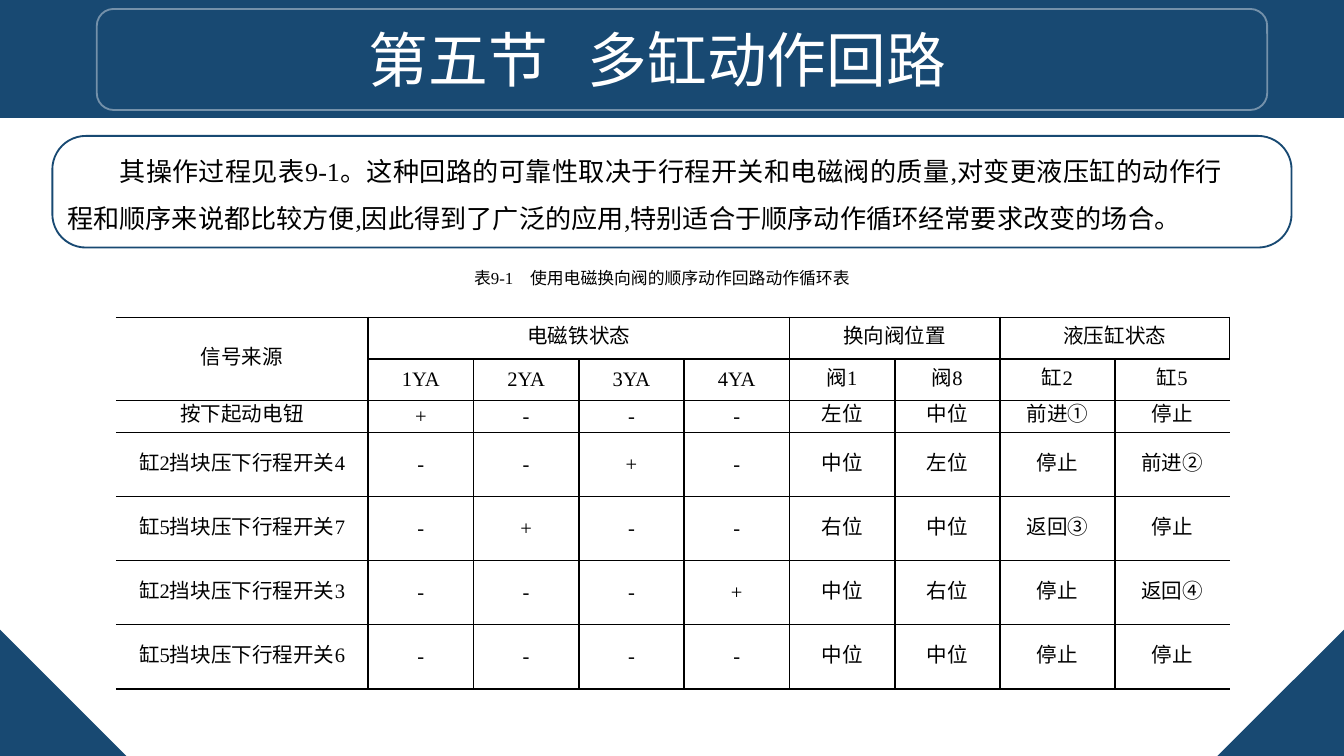
from lxml.etree import SubElement
from pptx import Presentation
from pptx.dml.color import RGBColor
from pptx.enum.shapes import MSO_SHAPE as Form
from pptx.enum.text import MSO_ANCHOR as Anchor, MSO_AUTO_SIZE as Auto, PP_ALIGN as Align
from pptx.oxml.ns import qn
from pptx.util import Cm, Pt

NAVY, WHITE, BLACK = "184972", "FFFFFF", "000000"
SANS, SERIF, ARIAL = "Noto Sans CJK SC", "Times New Roman", "Arial"
MARKS = "①②③④"

HEADS = [
    ["信号来源", "电磁铁状态", "", "", "", "换向阀位置", "", "液压缸状态", ""],
    ["", "1YA", "2YA", "3YA", "4YA", "阀1", "阀8", "缸2", "缸5"],
]
STEPS = [
    ("按下起动电钮", "+---", "左位", "中位", "前进①", "停止"),
    ("缸2挡块压下行程开关4", "--+-", "中位", "左位", "停止", "前进②"),
    ("缸5挡块压下行程开关7", "-+--", "右位", "中位", "返回③", "停止"),
    ("缸2挡块压下行程开关3", "---+", "中位", "右位", "停止", "返回④"),
    ("缸5挡块压下行程开关6", "----", "中位", "中位", "停止", "停止"),
]
SPANS = [(0, 0, 1, 0), (0, 1, 0, 4), (0, 5, 0, 6), (0, 7, 0, 8)]
WIDTHS = [4.77] + [1.99] * 6 + [2.17] * 2
HEIGHTS = [0.78] * 2 + [0.61] + [1.21] * 4


def tint(code):
    return RGBColor.from_string(code)


def box(x, y, w, h):
    return Cm(x), Cm(y), Cm(w), Cm(h)


class Deck:
    def __init__(self):
        self.file = Presentation()
        self.file.slide_width, self.file.slide_height = Cm(25.4), Cm(14.29)
        self.slide = self.file.slides.add_slide(self.file.slide_layouts[5])

    def shape(self, form, at, fill=None, line=None, alpha=None, bend=None, turn=0):
        item = self.slide.shapes.add_shape(form, *box(*at))
        item.shadow.inherit = False
        item.rotation = turn
        if bend is not None:
            item.adjustments[0] = bend
        if fill:
            item.fill.solid()
            item.fill.fore_color.rgb = tint(fill)
        else:
            item.fill.background()
        if line:
            item.line.color.rgb = tint(line)
            item.line.width = Pt(1)
        else:
            item.line.fill.background()
        if alpha:
            tone = item.line._ln.find(".//" + qn("a:srgbClr"))
            SubElement(tone, qn("a:alpha"), val=str(alpha * 1000))

    def run(self, para, text, size, font=SERIF, color=BLACK, gap=0):
        run = para.add_run()
        run.text = text
        run.font.size = Pt(size)
        run.font.name = font
        run.font.color.rgb = tint(color)
        props = run._r.get_or_add_rPr()
        SubElement(props, qn("a:ea"), typeface=SANS)
        if gap:
            props.set("spc", str(gap * 100))

    def title(self, at, parts):
        head = self.slide.shapes.title
        head.left, head.top, head.width, head.height = box(*at)
        frame = head.text_frame
        frame.auto_size = Auto.NONE
        frame.vertical_anchor = Anchor.MIDDLE
        para = frame.paragraphs[0]
        para.alignment = Align.CENTER
        for text, gap in parts:
            self.run(para, text, 32, SANS, WHITE, gap)
        self.slide.shapes._spTree.append(head._element)

    def text(self, at, text, size, align, space, indent):
        frame = self.slide.shapes.add_textbox(*box(*at)).text_frame
        frame.word_wrap = True
        para = frame.paragraphs[0]
        para.alignment = align
        para.line_spacing = space
        para._p.get_or_add_pPr().set("indent", str(Cm(indent)))
        self.run(para, text, size)

    def edge(self, cell, side, shown):
        props = cell._tc.get_or_add_tcPr()
        line = SubElement(props, qn("a:ln" + side), w=str(Pt(1)))
        if shown:
            fill = SubElement(line, qn("a:solidFill"))
            SubElement(fill, qn("a:srgbClr"), val=BLACK)
        else:
            SubElement(line, qn("a:noFill"))

    def cell(self, cell, text, first, last, pad):
        for side in "LRTB":
            open_side = (side == "L" and first) or (side == "R" and last)
            self.edge(cell, side, not open_side)
        cell.fill.background()
        cell.vertical_anchor = Anchor.MIDDLE
        cell.margin_left = cell.margin_right = Cm(2 * pad)
        cell.margin_top = cell.margin_bottom = Cm(pad)
        para = cell.text_frame.paragraphs[0]
        para.alignment = Align.CENTER
        para.line_spacing = Pt(12)
        word = text.rstrip(MARKS)
        for part, font in ((word, SERIF), (text[len(word):], ARIAL)):
            if part:
                self.run(para, part, 11, font)

    def table(self, x, y, rows):
        at = box(x, y, sum(WIDTHS), sum(HEIGHTS))
        grid = self.slide.shapes.add_table(len(rows), len(WIDTHS), *at).table
        grid.first_row = grid.horz_banding = False
        for col, width in zip(grid.columns, WIDTHS):
            col.width = Cm(width)
        for row, height in zip(grid.rows, HEIGHTS):
            row.height = Cm(height)
        for r, row in enumerate(rows):
            for c, text in enumerate(row):
                pad = 0.18 if r == 0 else 0
                self.cell(grid.cell(r, c), text, c == 0, c == len(row) - 1, pad)
        for top, left, low, right in SPANS:
            grid.cell(top, left).merge(grid.cell(low, right))


def main():
    deck = Deck()
    deck.shape(Form.RECTANGLE, (0, 0, 25.4, 2.23), fill=NAVY)
    for x, turn in ((0, 0), (23.01, 270)):
        deck.shape(Form.RIGHT_TRIANGLE, (x, 11.9, 2.39, 2.39), fill=NAVY, turn=turn)
    deck.shape(Form.ROUNDED_RECTANGLE, (1.83, 0.17, 22.12, 1.91), line=WHITE, alpha=40)
    deck.title((1.83, 0.3, 21.2, 1.63), [("第五节", 0), (" ", 14), ("多缸动作回路", 0)])
    deck.text(
        (1.02, 2.51, 22.33, 2.06),
        "其操作过程见表9-1。这种回路的可靠性取决于行程开关和电磁阀的质量,"
        "对变更液压缸的动作行程和顺序来说都比较方便,因此得到了广泛的应用,"
        "特别适合于顺序动作循环经常要求改变的场合。",
        14, Align.JUSTIFY, 1.5, 0.99)
    deck.text(
        (8.03, 4.85, 8.31, 0.76), "表9-1　使用电磁换向阀的顺序动作回路动作循环表",
        9, Align.CENTER, Pt(13.5), 0.64)
    steps = [[name, *signs, *states] for name, signs, *states in STEPS]
    deck.table(2.19, 6, HEADS + steps)
    deck.shape(Form.ROUNDED_RECTANGLE, (0.99, 2.57, 23.42, 2.11), line=NAVY, bend=0.3)
    deck.file.save("out.pptx")


if __name__ == "__main__":
    main()
